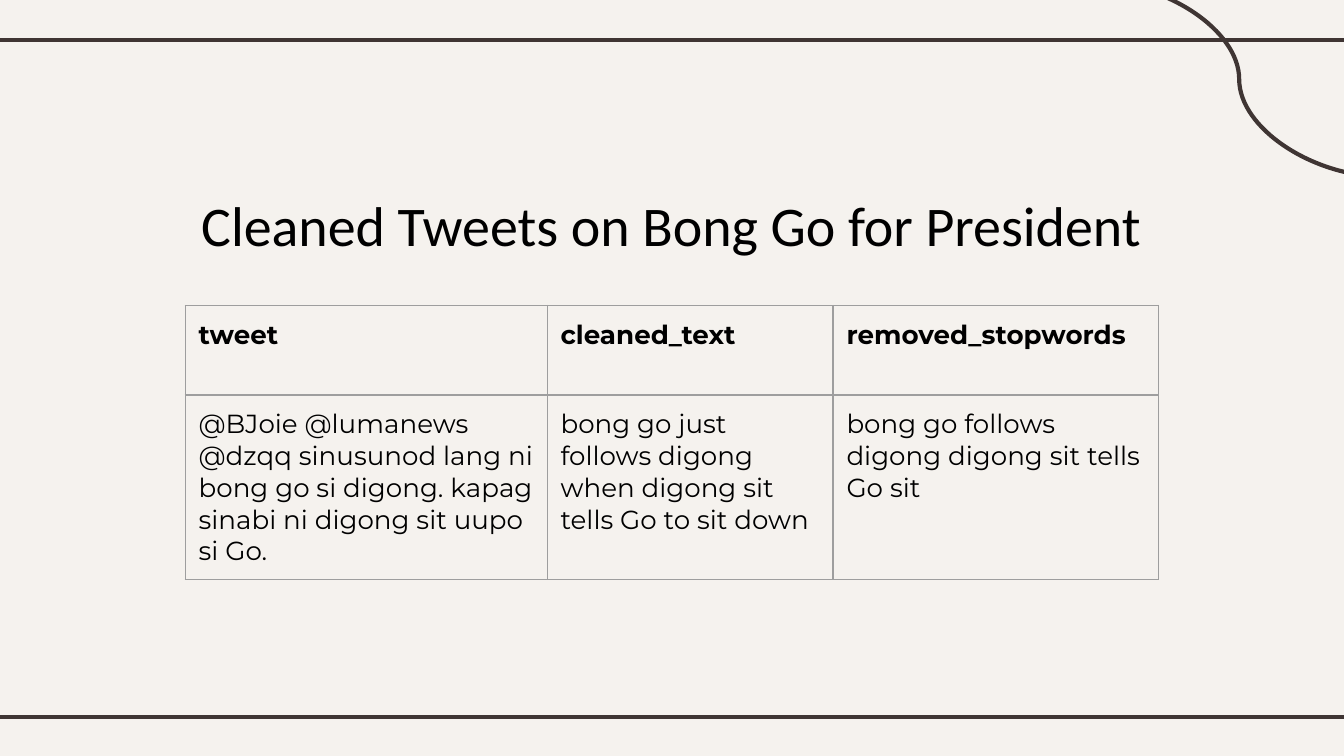
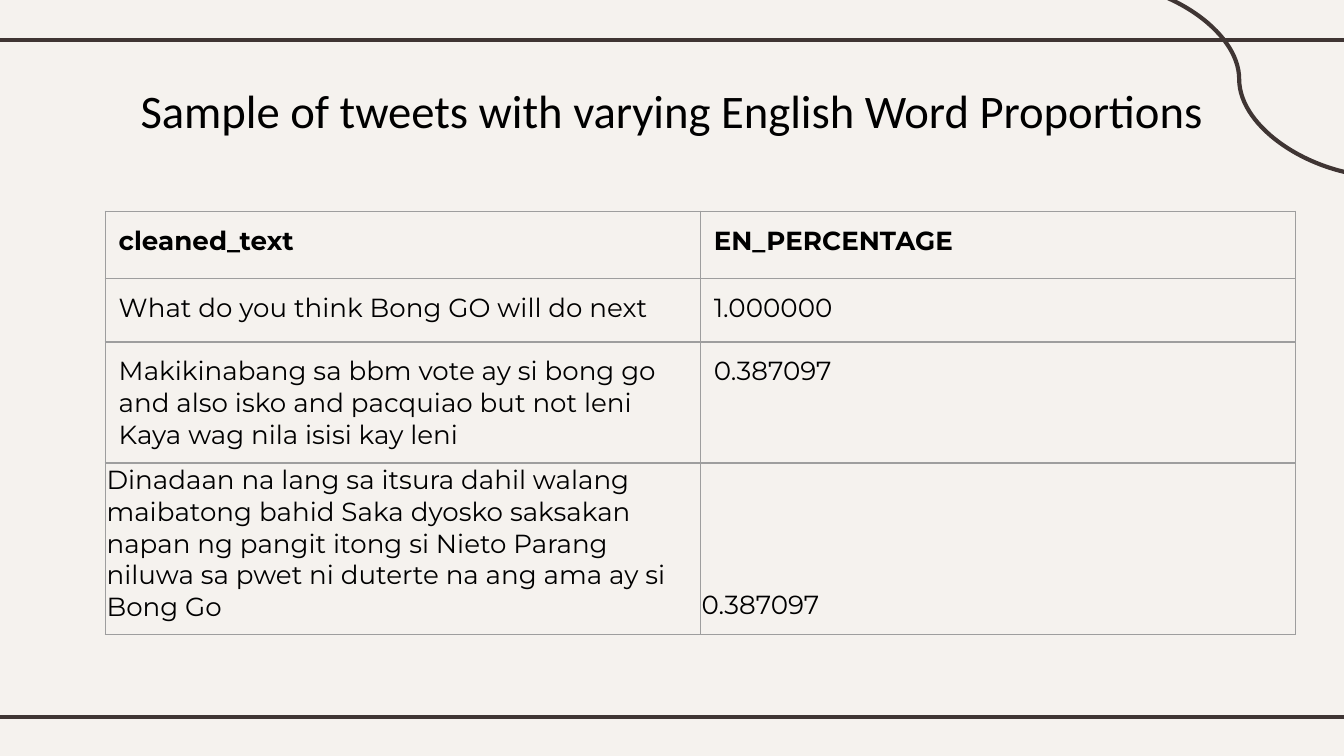
from dataclasses import dataclass

from lxml.etree import SubElement
from pptx import Presentation
from pptx.dml.color import RGBColor
from pptx.enum.shapes import MSO_CONNECTOR
from pptx.enum.text import MSO_ANCHOR, PP_ALIGN
from pptx.oxml.ns import qn
from pptx.util import Pt

CREAM = RGBColor(0xF5, 0xF2, 0xEE)
BROWN = RGBColor(0x3F, 0x35, 0x33)
GREY = RGBColor(0x9E, 0x9E, 0x9E)
BLACK = RGBColor(0, 0, 0)

TITLE_FONT = "Calibri"
TABLE_FONT = "Montserrat"
TABLE_TEXT_SIZE = 14
INSET = 7.2
TIGHT_INSET = 0.7


@dataclass(frozen=True)
class Stroke:
    kind: MSO_CONNECTOR
    start: tuple[float, float]
    end: tuple[float, float]


@dataclass(frozen=True)
class Row:
    height: float
    texts: tuple[str, ...]
    bold: bool = False
    tight: bool = False  # text sits at the bottom, close to the left border


@dataclass(frozen=True)
class TablePage:
    title: str
    title_top: float
    title_size: float
    table_left: float
    table_top: float
    columns: tuple[float, ...]
    rows: tuple[Row, ...]


STROKES = (
    Stroke(MSO_CONNECTOR.STRAIGHT, (-6, 21.4), (726, 21.4)),
    Stroke(MSO_CONNECTOR.STRAIGHT, (-6, 384), (726, 384)),
    Stroke(MSO_CONNECTOR.CURVE, (585.4, -9.8), (742.3, 94.8)),
)

PAGES = (
    TablePage(
        "Cleaned Tweets on Bong Go for President", 95, 30, 99.2, 163.6,
        (193.9, 153.2, 174.2),
        (
            Row(48, ("tweet", "cleaned_text", "removed_stopwords"), bold=True),
            Row(99, (
                "@BJoie @lumanews @dzqq sinusunod lang ni bong go si digong. "
                "kapag sinabi ni digong sit uupo si Go.",
                "bong go just follows digong when digong sit tells Go to sit down",
                "bong go follows digong digong sit tells Go sit",
            )),
        ),
    ),
    TablePage(
        "Sample of tweets with varying English Word Proportions", 36.9, 25, 56.4, 113.2,
        (318.8, 318.8),
        (
            Row(36, ("cleaned_text", "EN_PERCENTAGE"), bold=True),
            Row(34, ("What do you think Bong GO will do next", "1.000000")),
            Row(55.5, (
                "Makikinabang sa bbm vote ay si bong go and also isko and "
                "pacquiao but not leni Kaya wag nila isisi kay leni",
                "0.387097",
            )),
            Row(87, (
                "Dinadaan na lang sa itsura dahil walang maibatong bahid Saka "
                "dyosko saksakan napan ng pangit itong si Nieto Parang niluwa "
                "sa pwet ni duterte na ang ama ay si Bong Go",
                "0.387097",
            ), tight=True),
        ),
    ),
)


def add_span(para, text: str, font: str, size: float, bold: bool = False) -> None:
    span = para.add_run()
    span.text = text
    span.font.name = font
    span.font.size = Pt(size)
    span.font.bold = bold
    span.font.color.rgb = BLACK


def add_stroke(page, stroke: Stroke) -> None:
    points = [Pt(value) for value in stroke.start + stroke.end]
    connector = page.shapes.add_connector(stroke.kind, *points)
    connector.line.color.rgb = BROWN
    connector.line.width = Pt(2.25)
    SubElement(connector.element.spPr, qn("a:effectLst"))


def add_title(page, content: TablePage) -> None:
    box = page.shapes.add_textbox(Pt(56.2), Pt(content.title_top), Pt(607), Pt(45.4))
    frame = box.text_frame
    frame.word_wrap = True
    frame.margin_left = frame.margin_right = Pt(INSET)
    frame.margin_top = frame.margin_bottom = Pt(INSET)
    para = frame.paragraphs[0]
    para.alignment = PP_ALIGN.CENTER
    add_span(para, content.title, TITLE_FONT, content.title_size)


def add_borders(cell) -> None:
    properties = cell._tc.get_or_add_tcPr()
    for side in ("lnL", "lnR", "lnT", "lnB"):
        line = SubElement(properties, qn(f"a:{side}"), w=str(Pt(0.75)))
        fill = SubElement(line, qn("a:solidFill"))
        SubElement(fill, qn("a:srgbClr"), val=str(GREY))


def fill_cell(cell, text: str, row: Row) -> None:
    inset = Pt(TIGHT_INSET if row.tight else INSET)
    cell.margin_left = cell.margin_right = cell.margin_top = inset
    cell.margin_bottom = Pt(INSET)
    cell.vertical_anchor = MSO_ANCHOR.BOTTOM if row.tight else MSO_ANCHOR.TOP
    add_borders(cell)
    cell.fill.background()
    add_span(cell.text_frame.paragraphs[0], text, TABLE_FONT, TABLE_TEXT_SIZE, row.bold)


def add_tweet_table(page, content: TablePage) -> None:
    table = page.shapes.add_table(
        len(content.rows), len(content.columns),
        Pt(content.table_left), Pt(content.table_top),
        Pt(sum(content.columns)), Pt(sum(row.height for row in content.rows)),
    ).table
    table.first_row = table.horz_banding = False
    for column, width in zip(table.columns, content.columns):
        column.width = Pt(width)
    for table_row, row in zip(table.rows, content.rows):
        table_row.height = Pt(row.height)
        for cell, text in zip(table_row.cells, row.texts):
            fill_cell(cell, text, row)


def add_page(deck, content: TablePage) -> None:
    page = deck.slides.add_slide(deck.slide_layouts[6])
    page.background.fill.solid()
    page.background.fill.fore_color.rgb = CREAM
    for stroke in STROKES:
        add_stroke(page, stroke)
    add_title(page, content)
    add_tweet_table(page, content)


def main() -> None:
    deck = Presentation()
    deck.slide_width = Pt(720)
    deck.slide_height = Pt(405)
    for content in PAGES:
        add_page(deck, content)
    deck.save("out.pptx")


if __name__ == "__main__":
    main()
